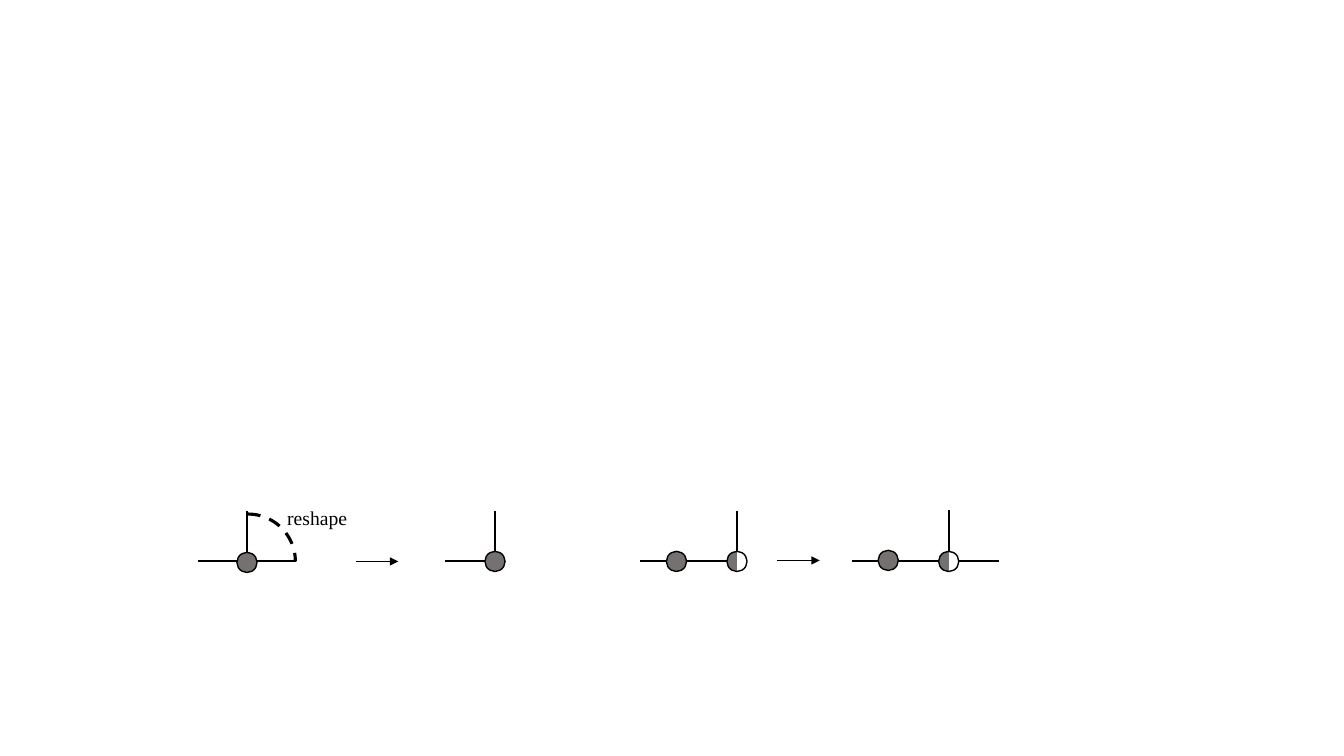
"""Build a slide of two tensor-network diagrams with a reshape step."""
from lxml.etree import SubElement
from pptx import Presentation
from pptx.dml.color import RGBColor
from pptx.enum.dml import MSO_LINE
from pptx.enum.shapes import MSO_CONNECTOR, MSO_SHAPE
from pptx.enum.text import MSO_AUTO_SIZE
from pptx.oxml.ns import qn
from pptx.util import Pt

SLIDE = (1333, 750)
RADIUS = 10
TENSORS = [
    {"center": (245, 558), "half": False, "legs": {"up": 41, "left": 39, "right": 39}},
    {"center": (491, 557), "half": False, "legs": {"up": 40, "left": 40}},
    {"center": (671, 557), "half": False, "legs": {"left": 26}},
    {"center": (731, 557), "half": True, "legs": {"up": 40, "left": 40}},
    {"center": (881, 556), "half": False, "legs": {"left": 26}},
    {"center": (941, 557), "half": True, "legs": {"up": 41, "left": 40, "right": 40}},
]
DIRECTIONS = {"up": (0, -1), "left": (-1, 0), "right": (1, 0)}
LEG_Y = 557
STEPS = [(353, 557), (771, 556)]
STEP_LENGTH = 42
RESHAPE_ARC = (199, 510, 94, 94)
RESHAPE_LABEL = ("reshape", (275, 497, 114, 34))

THEME = {
    "ink": RGBColor(0, 0, 0),
    "tensor": RGBColor(0x76, 0x71, 0x71),
    "blank": RGBColor(255, 255, 255),
    "font": "Times New Roman",
    "label": Pt(14),
    "outline": Pt(1),
    "leg": Pt(1.5),
    "arc": Pt(2.25),
}


def px(*lengths):
    return [length * 9144 for length in lengths]


def add_stroke(slide, start, end, width):
    stroke = slide.shapes.add_connector(MSO_CONNECTOR.STRAIGHT, *px(*start, *end))
    stroke.line.color.rgb = THEME["ink"]
    stroke.line.width = width
    SubElement(stroke._element.spPr, qn("a:effectLst"))
    return stroke


def add_outline(slide, kind, box, width):
    outline = slide.shapes.add_shape(kind, *px(*box))
    outline.shadow.inherit = False
    outline.line.color.rgb = THEME["ink"]
    outline.line.width = width
    return outline


def add_tensor(slide, center, half, legs):
    x, y = center
    for name, length in legs.items():
        dx, dy = DIRECTIONS[name]
        base = y if dy else LEG_Y
        reach = RADIUS + length
        add_stroke(slide, (x + dx * RADIUS, base + dy * RADIUS),
                   (x + dx * reach, base + dy * reach), THEME["leg"])
    box = (x - RADIUS, y - RADIUS, 2 * RADIUS, 2 * RADIUS)
    tensor = add_outline(slide, MSO_SHAPE.OVAL, box, THEME["outline"])
    if half:
        tensor.fill.gradient()
        tensor.fill.gradient_angle = 0
        halves = ((0.5, THEME["tensor"]), (0.51, THEME["blank"]))
        for stop, (position, color) in zip(tensor.fill.gradient_stops, halves):
            stop.position = position
            stop.color.rgb = color
    else:
        tensor.fill.solid()
        tensor.fill.fore_color.rgb = THEME["tensor"]


def add_step(slide, x, y):
    step = add_stroke(slide, (x, y), (x + STEP_LENGTH, y), THEME["outline"])
    SubElement(step.line._get_or_add_ln(), qn("a:tailEnd"), type="triangle")


def add_reshape(slide):
    arc = add_outline(slide, MSO_SHAPE.ARC, RESHAPE_ARC, THEME["arc"])
    arc.fill.background()
    arc.line.dash_style = MSO_LINE.DASH
    words, box = RESHAPE_LABEL
    label = slide.shapes.add_textbox(*px(*box)).text_frame
    label.word_wrap = True
    label.auto_size = MSO_AUTO_SIZE.SHAPE_TO_FIT_TEXT
    label.text = words
    font = label.paragraphs[0].font
    font.name = THEME["font"]
    font.size = THEME["label"]
    font.color.rgb = THEME["ink"]


def main():
    deck = Presentation()
    deck.slide_width, deck.slide_height = px(*SLIDE)
    slide = deck.slides.add_slide(deck.slide_layouts[6])
    for tensor in TENSORS:
        add_tensor(slide, **tensor)
    for x, y in STEPS:
        add_step(slide, x, y)
    add_reshape(slide)
    deck.save("out.pptx")


if __name__ == "__main__":
    main()
